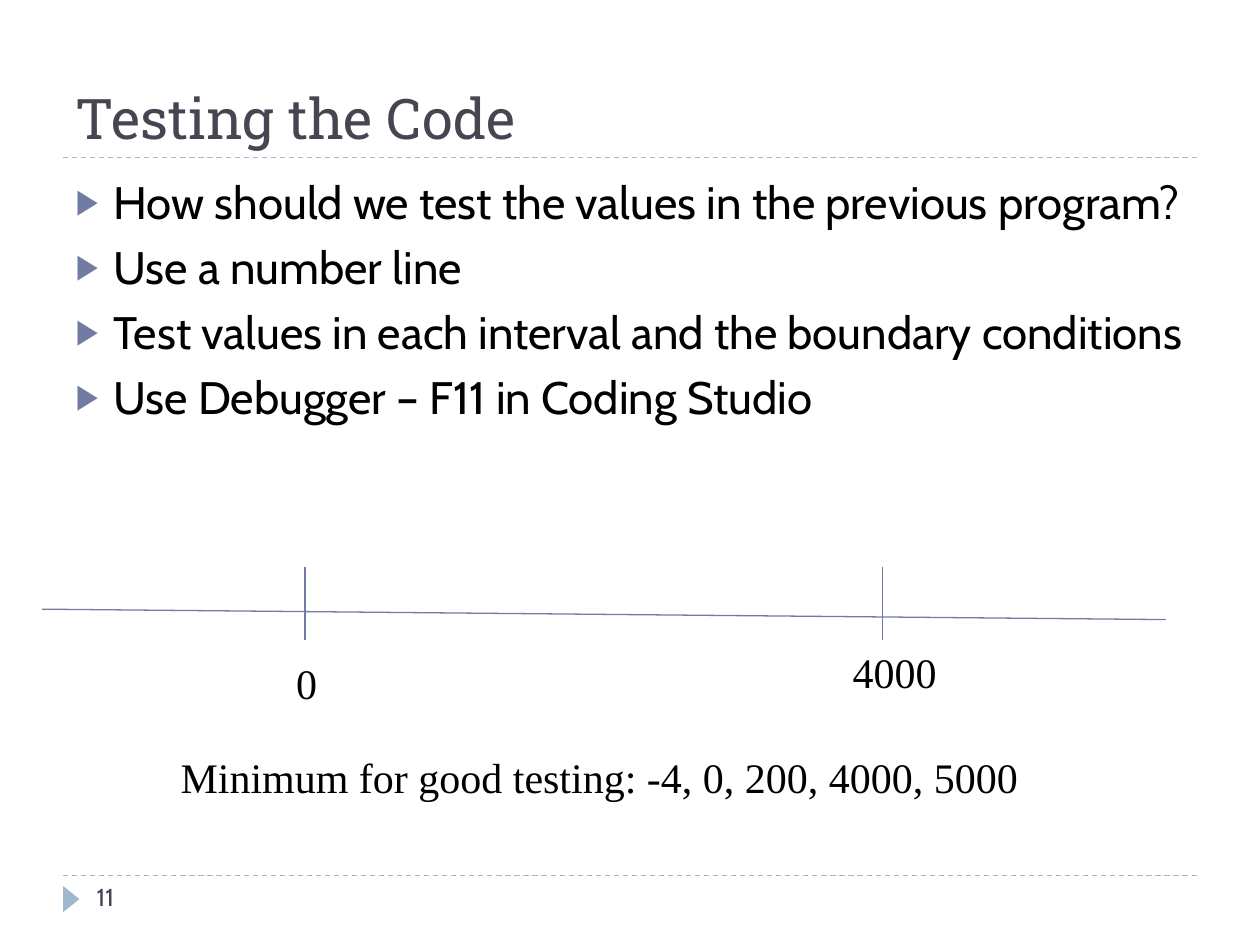
from dataclasses import dataclass

from lxml import etree
from pptx import Presentation
from pptx.dml.color import RGBColor
from pptx.enum import dml, shapes, text
from pptx.oxml import ns
from pptx.util import Cm, Pt


@dataclass(frozen=True)
class Theme:
    ink: str = "000000"
    dark: str = "464653"
    accent: str = "727CA3"
    pale: str = "9FB8CD"
    head: str = "Roboto Slab"
    sans: str = "Cabin"
    serif: str = "Times New Roman"
    title: int = 32
    body: int = 26
    label: int = 24
    small: int = 14
    line: float = 0.75


@dataclass(frozen=True)
class Box:
    """A region in centimetres."""
    x: float
    y: float
    w: float
    h: float

    def lengths(self):
        return [Cm(v) for v in (self.x, self.y, self.w, self.h)]


THEME = Theme()
WIDE, HIGH = 25.4, 19.05
POINTS = [
    "How should we test the values in the previous program?",
    "Use a number line",
    "Test values in each interval and the boundary conditions",
    "Use Debugger – F11 in Coding Studio",
]


def style(para, face, size, color):
    para.alignment = text.PP_ALIGN.LEFT
    para.font.name = face
    para.font.size = Pt(size)
    para.font.color.rgb = RGBColor.from_string(color)


def place(shape, box):
    shape.left, shape.top, shape.width, shape.height = box.lengths()


def rule(parent, start, end, color, dashed=False):
    line = parent.add_connector(
        shapes.MSO_CONNECTOR.STRAIGHT, *[Cm(v) for v in (*start, *end)])
    line.line.color.rgb = RGBColor.from_string(color)
    line.line.width = Pt(THEME.line)
    if dashed:
        line.line.dash_style = dml.MSO_LINE.DASH
    etree.SubElement(line._element.spPr, ns.qn("a:effectLst"))


def label(slide, box, words, face, size, color, wrap=True):
    frame = slide.shapes.add_textbox(*box.lengths()).text_frame
    frame.word_wrap = wrap
    frame.text = words
    style(frame.paragraphs[0], face, size, color)


def bullet(para):
    props = para._p.get_or_add_pPr()
    props.set("marL", str(Cm(0.76)))
    props.set("indent", str(Cm(-0.76)))
    tint = etree.SubElement(props, ns.qn("a:buClr"))
    etree.SubElement(tint, ns.qn("a:srgbClr"), val=THEME.accent)
    etree.SubElement(props, ns.qn("a:buSzPct"), val="76000")
    etree.SubElement(props, ns.qn("a:buChar"), char="▶")


def heading(slide, box):
    title = slide.shapes.title
    place(title, box)
    frame = title.text_frame
    frame.text = "Testing the Code"
    frame.auto_size = text.MSO_AUTO_SIZE.NONE
    frame.vertical_anchor = text.MSO_ANCHOR.BOTTOM
    style(frame.paragraphs[0], THEME.head, THEME.title, THEME.dark)
    base = box.y + box.h
    rule(slide.shapes, (box.x, base), (box.x + box.w, base), THEME.pale, True)


def points(slide, box):
    body = slide.placeholders[1]
    place(body, box)
    frame = body.text_frame
    frame.text = "\n".join(POINTS)
    frame.auto_size = text.MSO_AUTO_SIZE.NONE
    for para in frame.paragraphs:
        para.space_before = Pt(6)
        bullet(para)
        style(para, THEME.sans, THEME.body, THEME.ink)


def scale(slide, box):
    """Draw the number line, its two ticks, their labels and the summary."""
    group = slide.shapes.add_group_shape().shapes
    rule(group, (box.x, box.y + 0.85), (box.x + box.w, box.y + 1.06),
         THEME.accent)
    for tick in (5.3, 16.94):
        x = box.x + tick
        rule(group, (x, box.y), (x, box.y + 1.48), THEME.accent)

    font = THEME.serif, THEME.label, THEME.ink
    label(slide, Box(box.x + 4.87, box.y + 1.69, 0.85, 1.27), "0", *font)
    label(slide, Box(box.x + 16.09, box.y + 1.48, 2.96, 1.27), "4000", *font)
    label(slide, Box(box.x + 2.54, box.y + 3.6, 17.55, 1.27),
          "Minimum for good testing: -4, 0, 200, 4000, 5000", *font, wrap=False)


def footer(slide, box):
    rule(slide.shapes, (box.x, box.y), (box.x + box.w, box.y),
         THEME.pale, True)
    mark = slide.shapes.add_shape(
        shapes.MSO_SHAPE.ISOSCELES_TRIANGLE,
        *Box(box.x - 0.1, box.y + 0.31, 0.53, 0.33).lengths())
    mark.rotation = 90
    mark.shadow.inherit = False
    mark.fill.solid()
    mark.fill.fore_color.rgb = RGBColor.from_string(THEME.pale)
    mark.line.fill.background()
    label(slide, Box(box.x + 0.43, box.y, 5.5, box.h), "11",
          THEME.sans, THEME.small, THEME.dark)


def main():
    deck = Presentation()
    deck.slide_width, deck.slide_height = Cm(WIDE), Cm(HIGH)
    slide = deck.slides.add_slide(deck.slide_layouts[1])
    edge = 1.27
    span = WIDE - 2 * edge
    heading(slide, Box(edge, 0.43, span, 2.74))
    points(slide, Box(edge, 3.38, span, 13.72))
    scale(slide, Box(0.85, 11.43, 22.65, 4.87))
    footer(slide, Box(edge, 17.65, span, 1.02))
    deck.save("out.pptx")


if __name__ == "__main__":
    main()
